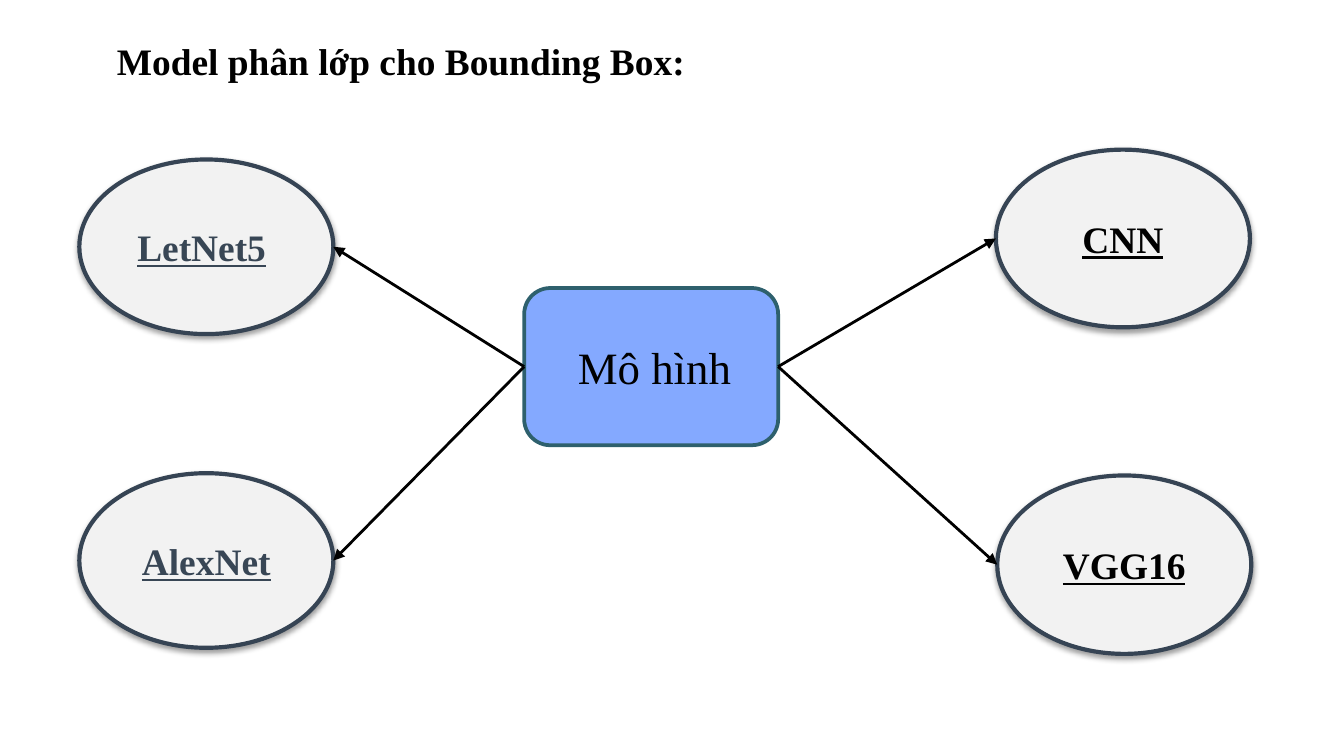
"""Builds a slide that links a central model box to four classifier networks."""
import pptx
import pptx.dml.color
import pptx.enum.shapes
import pptx.enum.text
import pptx.oxml
import pptx.util
import lxml.etree

NAMESPACE = "http://schemas.openxmlformats.org/drawingml/2006/main"
SHADOW = (
    f'<a:outerShdw xmlns:a="{NAMESPACE}" blurRad="39370" dist="20320" dir="5400000" '
    'algn="ctr" rotWithShape="0"><a:srgbClr val="000000"><a:alpha val="38000"/>'
    '</a:srgbClr></a:outerShdw>'
)


def paint(target, color):
    """Give a fill, line fill or font fill one solid colour."""
    target.solid()
    target.fore_color.rgb = pptx.dml.color.RGBColor.from_string(color)


def write(para, text, size, color, strong=False, underline=False):
    """Add one run of text to a paragraph."""
    span = para.add_run()
    span.text = text
    span.font.name = "Times New Roman"
    span.font.size = pptx.util.Pt(size)
    span.font.bold = strong
    span.font.underline = underline
    paint(span.font.fill, color)


deck = pptx.Presentation()
deck.slide_width = pptx.util.Inches(10)
deck.slide_height = deck.slide_width * 9 // 16
column = deck.slide_width / 100
row = deck.slide_height / 100
page = deck.slides.add_slide(deck.slide_layouts[5])
paint(page.background.fill, "FFFFFF")

title = page.shapes.title
title.left, title.top = int(7.7 * column), int(4.15 * row)
title.width, title.height = int(49.4 * column), int(7.8 * row)
title.text_frame.word_wrap = True
title.text_frame.auto_size = pptx.enum.text.MSO_AUTO_SIZE.SHAPE_TO_FIT_TEXT
title.text_frame.vertical_anchor = pptx.enum.text.MSO_ANCHOR.TOP
heading = title.text_frame.paragraphs[0]
heading.alignment = pptx.enum.text.PP_ALIGN.LEFT
write(heading, "Model phân lớp cho Bounding Box:", 20, "000000", True)

rounded = pptx.enum.shapes.MSO_SHAPE.ROUNDED_RECTANGLE
oval = pptx.enum.shapes.MSO_SHAPE.OVAL
model_spans = [(" ", 14, "FFFFFF"), ("Mô hình", 24, "000000")]
nodes = [
    (rounded, 39, 38.1, 20.8, "84A9FF", "2E606D", 2, model_spans),
    (oval, 5.9, 21.1, 23.1, "F2F2F2", "364454", 2.25,
     [("LetNet5", 20, "384655", True, True), (" ", 20, "000000")]),
    (oval, 74.1, 19.8, 23.5, "F2F2F2", "364454", 2.25, [("CNN", 20, "000000", True, True)]),
    (oval, 5.9, 62.6, 23.1, "F2F2F2", "364454", 2.25, [("AlexNet", 20, "384655", True, True)]),
    (oval, 74.2, 62.9, 23.6, "F2F2F2", "364454", 2.25, [("VGG16", 20, "000000", True, True)]),
]
boxes = []
for kind, left, top, height, fill, edge, weight, spans in nodes:
    box = page.shapes.add_shape(
        kind, int(left * column), int(top * row), int(18.9 * column), int(height * row))
    paint(box.fill, fill)
    paint(box.line.fill, edge)
    box.line.width = pptx.util.Pt(weight)
    box.shadow.inherit = False
    if kind == oval:
        effects = box.element.spPr.find(f"{{{NAMESPACE}}}effectLst")
        effects.append(pptx.oxml.parse_xml(SHADOW))
    box.text_frame.word_wrap = True
    box.text_frame.vertical_anchor = pptx.enum.text.MSO_ANCHOR.MIDDLE
    para = box.text_frame.paragraphs[0]
    para.alignment = pptx.enum.text.PP_ALIGN.CENTER
    for details in spans:
        write(para, *details)
    boxes.append(box)

model, *networks = boxes
for network in networks:
    on_left = network.left < model.left
    start = model.left if on_left else model.left + model.width
    end = network.left + network.width if on_left else network.left
    arrow = page.shapes.add_connector(
        pptx.enum.shapes.MSO_CONNECTOR.STRAIGHT,
        start, model.top + model.height // 2, end, network.top + network.height // 2)
    paint(arrow.line.fill, "000000")
    arrow.line.width = pptx.util.Pt(1.5)
    outline = arrow.element.spPr.find(f"{{{NAMESPACE}}}ln")
    lxml.etree.SubElement(outline, f"{{{NAMESPACE}}}tailEnd", type="triangle")
    lxml.etree.SubElement(arrow.element.spPr, f"{{{NAMESPACE}}}effectLst")

deck.save("out.pptx")
